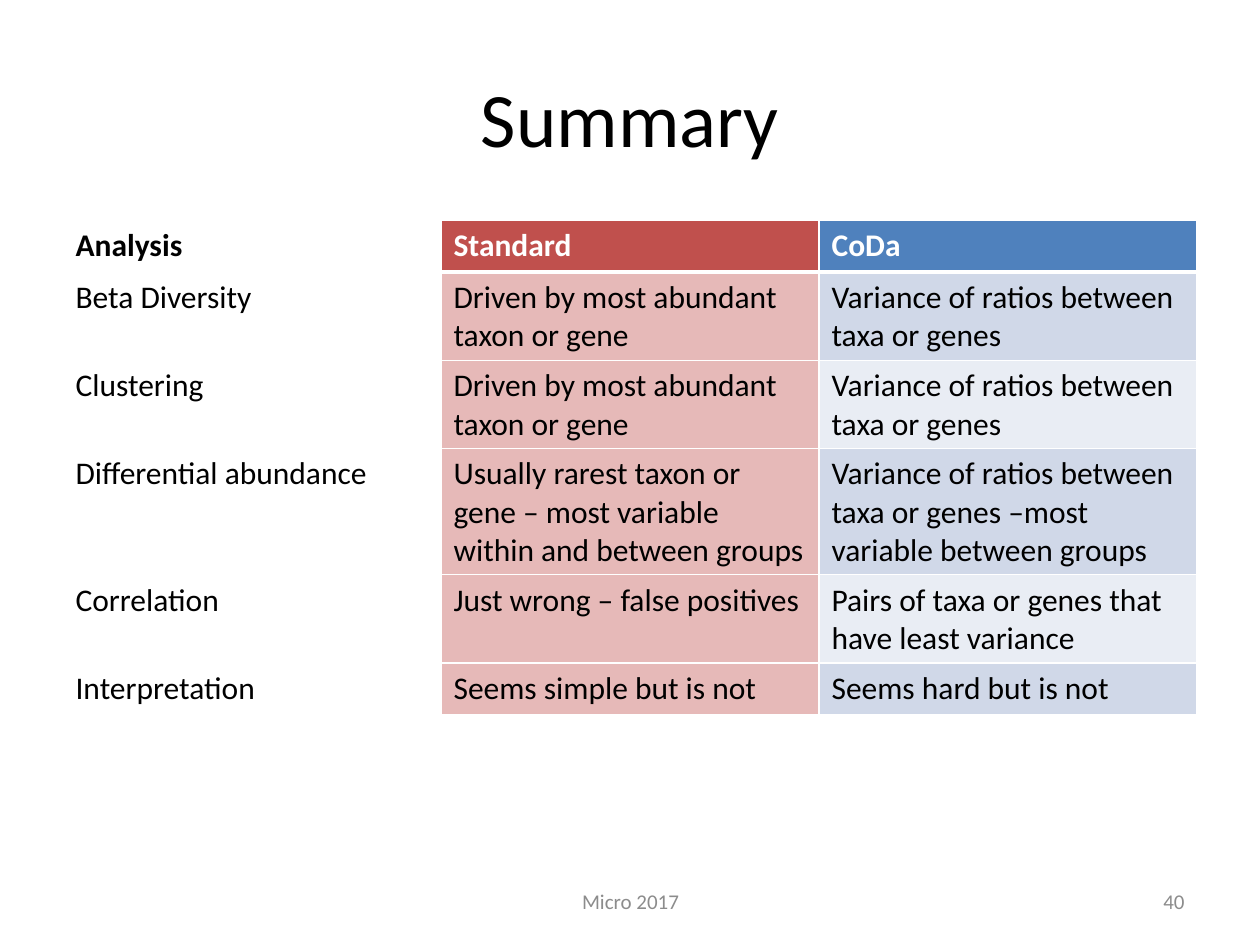
import pptx
import pptx.dml.color
import pptx.enum.text
import pptx.oxml
import pptx.oxml.ns
import pptx.util
from pptx.util import Inches

ALIGN = pptx.enum.text.PP_ALIGN
WHITE, BLACK, GREY = "FFFFFF", "000000", "8C8C8C"
HEADER_FILLS = [WHITE, "C0504D", "4F81BD"]
HEADER_COLORS = [BLACK, WHITE, WHITE]
STANDARD_FILL = "E6B9B8"
CODA_BANDS = ["D0D8E8", "E9EDF4"]

ROWS = [
    ("Analysis", "Standard", "CoDa"),
    ("Beta Diversity", "Driven by most abundant taxon or gene",
     "Variance of ratios between taxa or genes"),
    ("Clustering", "Driven by most abundant taxon or gene",
     "Variance of ratios between taxa or genes"),
    ("Differential abundance",
     "Usually rarest taxon or gene – most variable within and between groups",
     "Variance of ratios between taxa or genes –most variable between groups"),
    ("Correlation", "Just wrong – false positives",
     "Pairs of taxa or genes that have least variance"),
    ("Interpretation", "Seems simple but is not", "Seems hard but is not"),
]


def rgb(value):
    return pptx.dml.color.RGBColor.from_string(value)


def write(tf, text, size, color, bold=False, align=ALIGN.LEFT):
    p = tf.paragraphs[0]
    p.alignment = align
    r = p.add_run()
    r.text = text
    font = {"name": "Calibri", "size": pptx.util.Pt(size), "bold": bold}
    for name, value in font.items():
        setattr(r.font, name, value)
    r.font.color.rgb = rgb(color)


def add_text(s, box, text, size, color, align):
    tf = s.shapes.add_textbox(*map(Inches, box)).text_frame
    tf.word_wrap = True
    tf.vertical_anchor = pptx.enum.text.MSO_ANCHOR.MIDDLE
    write(tf, text, size, color, align=align)


def set_borders(cell, widths):
    """Draw white borders; widths maps L, R, T and B to points."""
    props = cell._tc.get_or_add_tcPr()
    for side, width in widths.items():
        props.append(pptx.oxml.parse_xml(
            f'<a:ln{side} {pptx.oxml.ns.nsdecls("a")} w="{pptx.util.Pt(width)}">'
            f'<a:solidFill><a:srgbClr val="{WHITE}"/></a:solidFill></a:ln{side}>'))


def add_summary_table(s):
    frame = s.shapes.add_table(len(ROWS), 3, Inches(0.5), Inches(1.75),
                               Inches(9), Inches(0.41 * len(ROWS)))
    for i, row in enumerate(ROWS):
        header = i == 0
        fills = HEADER_FILLS if header else [
            WHITE, STANDARD_FILL, CODA_BANDS[(i - 1) % 2]]
        colors = HEADER_COLORS if header else [BLACK] * 3
        widths = {"L": 1, "R": 1, "T": 3 if i == 1 else 1, "B": 3 if header else 1}
        for j, text in enumerate(row):
            cell = frame.table.cell(i, j)
            set_borders(cell, widths)
            cell.fill.solid()
            cell.fill.fore_color.rgb = rgb(fills[j])
            write(cell.text_frame, text, 18, colors[j], bold=header)


def main():
    prs = pptx.Presentation()
    prs.slide_width, prs.slide_height = Inches(10), Inches(7.5)
    s = prs.slides.add_slide(prs.slide_layouts[6])
    add_text(s, (0.5, 0.3, 9, 1.25), "Summary", 44, BLACK, ALIGN.CENTER)
    add_summary_table(s)
    add_text(s, (3.42, 6.95, 3.17, 0.4), "Micro 2017", 12, GREY, ALIGN.CENTER)
    add_text(s, (7.17, 6.95, 2.33, 0.4), "40", 12, GREY, ALIGN.RIGHT)
    prs.save("out.pptx")


if __name__ == "__main__":
    main()
